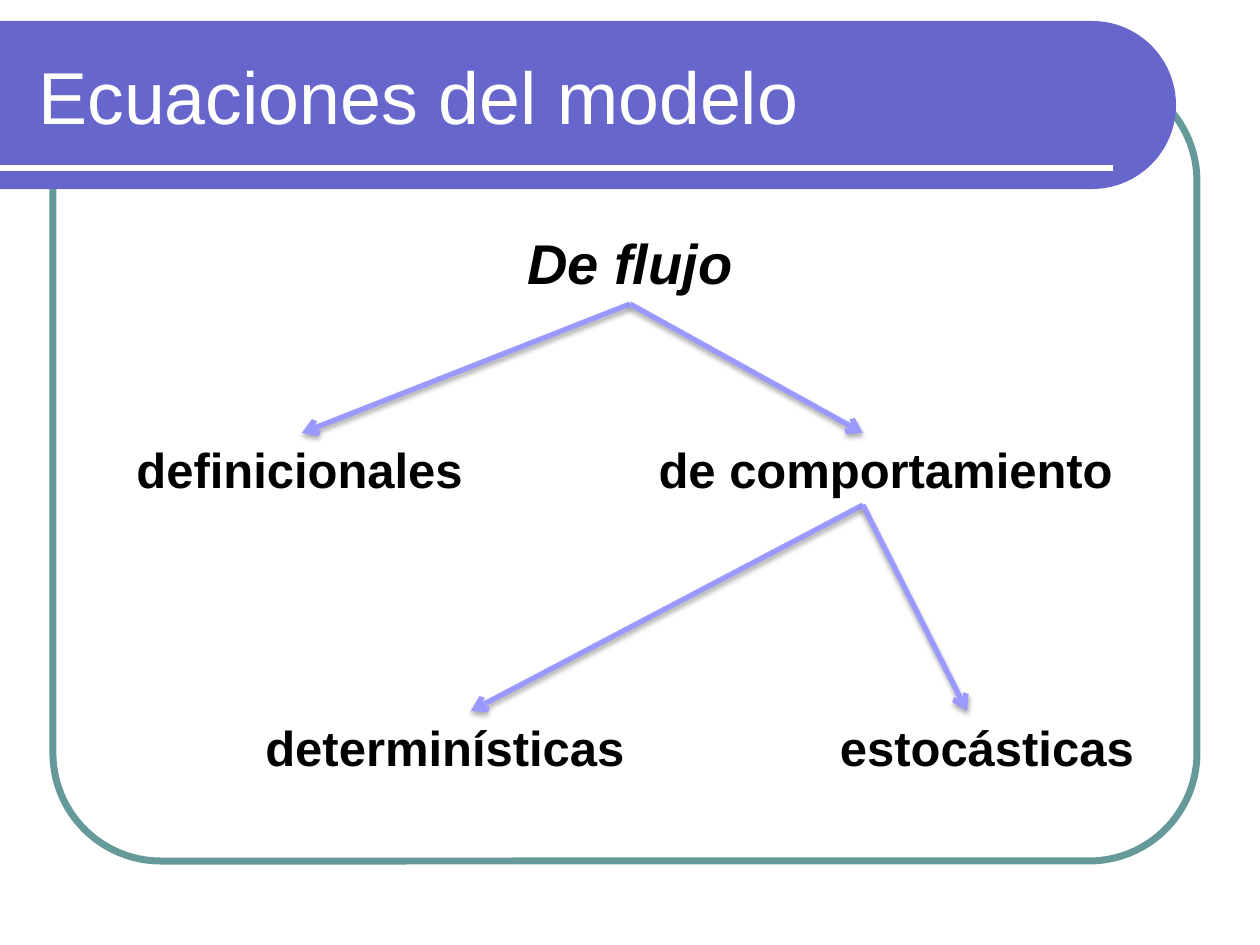
from math import cos, pi, sin

from lxml.etree import SubElement
from pptx import Presentation
from pptx.dml.color import RGBColor
from pptx.enum.shapes import MSO_CONNECTOR as Connector, MSO_SHAPE as Shape
from pptx.enum.text import MSO_ANCHOR as Anchor, PP_ALIGN as Align
from pptx.oxml.ns import qn
from pptx.util import Pt

SCALE = 914400 / 126
COLORS = {
    "banner": "6666CC",
    "frame": "669999",
    "arrow": "9999FF",
    "light": "FFFFFF",
    "text": "000000",
    "shadow": "000000",
}


def px(value):
    return round(value * SCALE)


def color(name):
    return RGBColor.from_string(COLORS[name])


class Diagram:
    font = "Arial"

    def __init__(self, slide):
        self.slide = slide
        self.shapes = slide.shapes

    def frame(self, left, top, width, height):
        shape = self.shapes.add_shape(
            Shape.ROUNDED_RECTANGLE, px(left), px(top), px(width), px(height))
        shape.adjustments[0] = 0.137
        shape.shadow.inherit = False
        shape.fill.background()
        shape.line.color.rgb = color("frame")
        shape.line.width = Pt(4)

    def banner(self, top, width, height, steps=60):
        radius = height / 2
        angles = [pi * step / steps - pi / 2 for step in range(steps + 1)]
        arc = [(px(width - radius + radius * cos(angle)),
                px(top + radius + radius * sin(angle))) for angle in angles]
        builder = self.shapes.build_freeform(0, px(top), scale=1.0)
        builder.add_line_segments(arc + [(0, px(top + height))], close=True)
        shape = builder.convert_to_shape()
        shape.shadow.inherit = False
        shape.fill.solid()
        shape.fill.fore_color.rgb = color("banner")
        shape.line.fill.background()

    def line(self, start, end, tone):
        connector = self.shapes.add_connector(
            Connector.STRAIGHT, *map(px, start + end))
        connector.line.color.rgb = color(tone)
        connector.line.width = Pt(3)
        effects = SubElement(connector._element.spPr, qn("a:effectLst"))
        return connector, effects

    def arrow(self, start, end):
        connector, effects = self.line(start, end, "arrow")
        SubElement(connector.line._get_or_add_ln(), qn("a:tailEnd"), type="arrow")
        shadow = SubElement(effects, qn("a:outerShdw"), blurRad=str(Pt(3.1)),
                            dist=str(Pt(1.8)), dir="5400000", rotWithShape="0")
        tone = SubElement(shadow, qn("a:srgbClr"), val=COLORS["shadow"])
        SubElement(tone, qn("a:alpha"), val="35000")

    def text(self, box, words, size, tone="text", align=Align.LEFT,
             bold=True, italic=False):
        shape = self.shapes.add_textbox(*map(px, box))
        frame = shape.text_frame
        frame.word_wrap = True
        frame.vertical_anchor = Anchor.MIDDLE
        paragraph = frame.paragraphs[0]
        paragraph.text = words
        paragraph.alignment = align
        font = paragraph.font
        font.name, font.size = self.font, Pt(size)
        font.bold, font.italic = bold, italic
        font.color.rgb = color(tone)


def main():
    presentation = Presentation()
    presentation.slide_width, presentation.slide_height = px(1260), px(945)
    diagram = Diagram(presentation.slides.add_slide(presentation.slide_layouts[6]))

    diagram.frame(53, 73, 1144, 788)
    diagram.banner(21, 1176, 168)
    diagram.line((0, 168), (1113, 168), "light")
    diagram.text((26, 32, 1105, 126), "Ecuaciones del modelo", 42, "light", bold=False)
    diagram.text((84, 221, 1092, 83), "De flujo", 32, align=Align.CENTER, italic=True)

    labels = [
        ("definicionales", 124, 433, 358, Align.LEFT),
        ("de comportamiento", 600, 433, 525, Align.RIGHT),
        ("determinísticas", 253, 711, 437, Align.LEFT),
        ("estocásticas", 788, 711, 358, Align.RIGHT),
    ]
    for words, left, top, width, align in labels:
        diagram.text((left, top, width, 72), words, 28, align=align)

    branches = {
        (630, 304): [(302, 433), (863, 433)],
        (863, 505): [(471, 711), (967, 711)],
    }
    for start, ends in branches.items():
        for end in ends:
            diagram.arrow(start, end)

    presentation.save("out.pptx")


if __name__ == "__main__":
    main()
